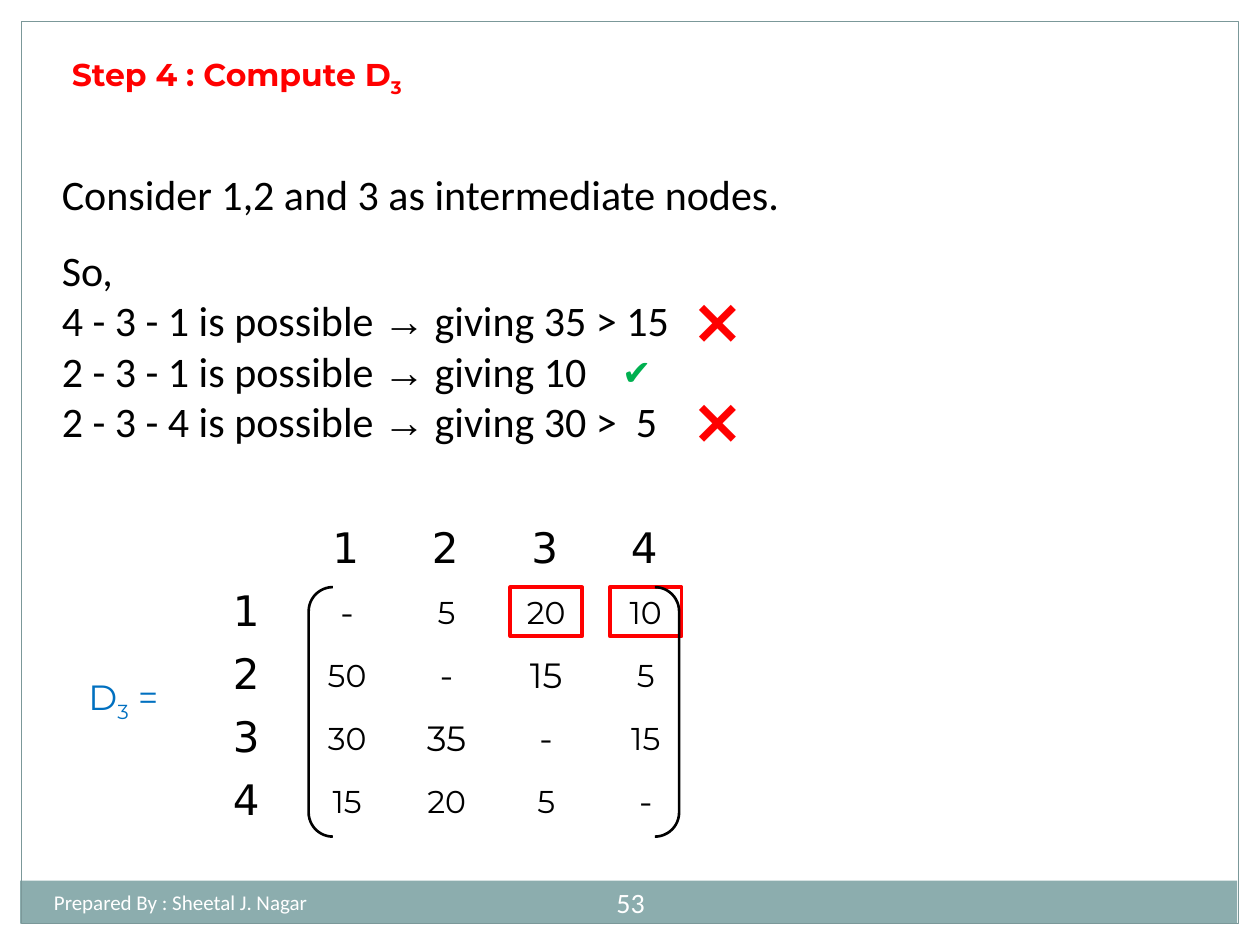
import pptx
import pptx.dml.color
import pptx.enum.shapes
import pptx.enum.text
import pptx.oxml.ns
import pptx.util
from pptx.util import Inches

RGB = pptx.dml.color.RGBColor
SHAPE = pptx.enum.shapes.MSO_SHAPE
ALIGN = pptx.enum.text.PP_ALIGN
ANCHOR = pptx.enum.text.MSO_ANCHOR

BLACK = RGB(0x00, 0x00, 0x00)
WHITE = RGB(0xFF, 0xFF, 0xFF)
RED = RGB(0xFF, 0x00, 0x00)
GREEN = RGB(0x00, 0xB0, 0x50)
BLUE = RGB(0x00, 0x70, 0xC0)
TEAL = RGB(0x8C, 0xAD, 0xAE)
FRAME_TEAL = RGB(0x7B, 0x98, 0x99)

HEADING = [("Step 4 : Compute D", {}), ("3", {"subscript": True})]
MATRIX_NAME = [("D", {}), ("3", {"subscript": True}), (" =", {})]
ARROW = ("→", {"name": "Arial"})
INTRO = ["Consider 1,2 and 3 as intermediate nodes.", "So,"]
PATHS = [
    ("4 - 3 - 1 is possible ", " giving 35 > 15"),
    ("2 - 3 - 1 is possible ", " giving 10"),
    ("2 - 3 - 4 is possible ", " giving 30 >  5"),
]
VERDICTS = [
    ("×", (5.39, 2.18, 0.47, 0.7), {"size": 36, "color": RED, "bold": True}),
    ("✔", (4.84, 2.73, 0.47, 0.44), {"size": 20, "color": GREEN}),
    ("×", (5.39, 2.97, 0.47, 0.7), {"size": 36, "color": RED, "bold": True}),
]
NODES = ["1", "2", "3", "4"]
DISTANCES = [
    ["-", "5", "20", "10"],
    ["50", "-", "15", "5"],
    ["30", "35", "-", "15"],
    ["15", "20", "5", "-"],
]
HIGHLIGHTED = {(0, 2), (0, 3)}
LARGE = {(1, 2), (2, 1)}
FOOTERS = [
    ("53", (4.67, 6.92, 0.67, 0.48), 16, ALIGN.CENTER, ANCHOR.MIDDLE),
    ("Prepared By : Sheetal J. Nagar", (0.33, 7.01, 3.92, 0.4), 12, ALIGN.LEFT, ANCHOR.TOP),
]

TABLE_LEFT, TABLE_TOP = 1.56, 4.11
COLUMN_WIDTH, ROW_HEIGHT = 0.79, 0.5
VALUE_LEFT, VALUE_TOP = 2.47, 4.66
VALUE_SIZE = (0.57, 0.39)


def place(item, box):
    for side, length in zip(("left", "top", "width", "height"), box):
        setattr(item, side, Inches(length))


def write(paragraph, runs, align=ALIGN.LEFT, spacing=1.0, **base):
    layout = {"alignment": align, "line_spacing": spacing,
              "space_before": pptx.util.Pt(0), "space_after": pptx.util.Pt(0)}
    for key, value in layout.items():
        setattr(paragraph, key, value)
    for text, changes in runs:
        style = {"name": "Montserrat", "size": 18, "color": BLACK, "bold": False, **base, **changes}
        run = paragraph.add_run()
        run.text = text
        run.font.color.rgb = style.pop("color")
        if style.pop("subscript", False):
            run._r.get_or_add_rPr().set("baseline", "-25000")
        style["size"] = pptx.util.Pt(style["size"])
        for key, value in style.items():
            setattr(run.font, key, value)


def set_frame(frame, anchor=ANCHOR.TOP):
    options = {"word_wrap": True, "vertical_anchor": anchor,
               "auto_size": pptx.enum.text.MSO_AUTO_SIZE.NONE}
    for key, value in options.items():
        setattr(frame, key, value)
    return frame


def add_label(slide, box, runs, anchor=ANCHOR.TOP, **style):
    label = slide.shapes.add_textbox(*map(Inches, box))
    write(set_frame(label.text_frame, anchor).paragraphs[0], runs, **style)
    return label


def add_figure(slide, kind, box, fill=None, line=None, weight=1.0):
    figure = slide.shapes.add_shape(kind, *map(Inches, box))
    figure.shadow.inherit = False
    if fill is None:
        figure.fill.background()
    else:
        figure.fill.solid()
        figure.fill.fore_color.rgb = fill
    if line is None:
        figure.line.fill.background()
    else:
        figure.line.color.rgb = line
        figure.line.width = pptx.util.Pt(weight)
    return figure


def add_explanation(slide):
    explanation = slide.placeholders[1]
    place(explanation, (0.39, 1.09, 7.97, 2.58))
    frame = set_frame(explanation.text_frame)
    lines = [([(text, {})], 1.5) for text in INTRO]
    lines += [([(path, {}), ARROW, (result, {})], 1.0) for path, result in PATHS]
    for index, (runs, spacing) in enumerate(lines):
        paragraph = frame.add_paragraph() if index else frame.paragraphs[0]
        write(paragraph, runs, ALIGN.JUSTIFY, spacing, name="Calibri", size=24)
        properties = paragraph._p.get_or_add_pPr()
        for key in ("marL", "indent"):
            properties.set(key, "0")
        properties.append(pptx.oxml.parse_xml(f"<a:buNone {pptx.oxml.ns.nsdecls('a')}/>"))


def add_node_headers(slide):
    count = len(NODES) + 1
    table = slide.shapes.add_table(
        count, count, Inches(TABLE_LEFT), Inches(TABLE_TOP),
        Inches(COLUMN_WIDTH * count), Inches(ROW_HEIGHT * count)).table
    table.first_row = table.horz_banding = False
    for cell in table.iter_cells():
        cell.fill.background()
    for index, node in enumerate(NODES, 1):
        for cell in (table.cell(0, index), table.cell(index, 0)):
            cell.vertical_anchor = ANCHOR.MIDDLE
            write(cell.text_frame.paragraphs[0], [(node, {})], ALIGN.CENTER,
                  name="DejaVu Sans", size=24)


def add_distances(slide):
    for row, values in enumerate(DISTANCES):
        for column, value in enumerate(values):
            box = (VALUE_LEFT + column * COLUMN_WIDTH, VALUE_TOP + row * ROW_HEIGHT, *VALUE_SIZE)
            outline = RED if (row, column) in HIGHLIGHTED else None
            distance = add_figure(slide, SHAPE.RECTANGLE, box, WHITE, outline, 2)
            size = 20 if value == "-" or (row, column) in LARGE else 18
            frame = set_frame(distance.text_frame, ANCHOR.MIDDLE)
            write(frame.paragraphs[0], [(value, {})], ALIGN.CENTER, size=size)
    brackets = add_figure(slide, SHAPE.DOUBLE_BRACKET, (2.45, 4.66, 2.94, 1.98), None, BLACK, 1.5)
    brackets.adjustments[0] = 0.097


def main():
    deck = pptx.Presentation()
    deck.slide_width, deck.slide_height = Inches(10), Inches(7.5)
    slide = deck.slides.add_slide(deck.slide_layouts[1])

    heading = slide.shapes.title
    place(heading, (0.16, 0.39, 3.44, 0.39))
    write(set_frame(heading.text_frame).paragraphs[0], HEADING, ALIGN.CENTER, color=RED, bold=True)
    add_explanation(slide)

    add_figure(slide, SHAPE.RECTANGLE, (0.16, 6.99, 9.66, 0.34), TEAL)
    add_figure(slide, SHAPE.RECTANGLE, (0.17, 0.17, 9.66, 7.16), None, FRAME_TEAL, 0.75)

    add_node_headers(slide)
    add_distances(slide)
    add_label(slide, (0.23, 5.31, 1.5, 0.39), MATRIX_NAME, align=ALIGN.CENTER, size=20, color=BLUE)
    for mark, box, style in VERDICTS:
        add_label(slide, box, [(mark, {})], name="DejaVu Sans", **style)
    for text, box, size, align, anchor in FOOTERS:
        footer = add_label(slide, box, [(text, {})], anchor, align=align,
                           name="Calibri", size=size, color=WHITE)
        if align == ALIGN.CENTER:
            footer.text_frame.margin_left = footer.text_frame.margin_right = Inches(0.05)

    deck.save("out.pptx")


if __name__ == "__main__":
    main()
